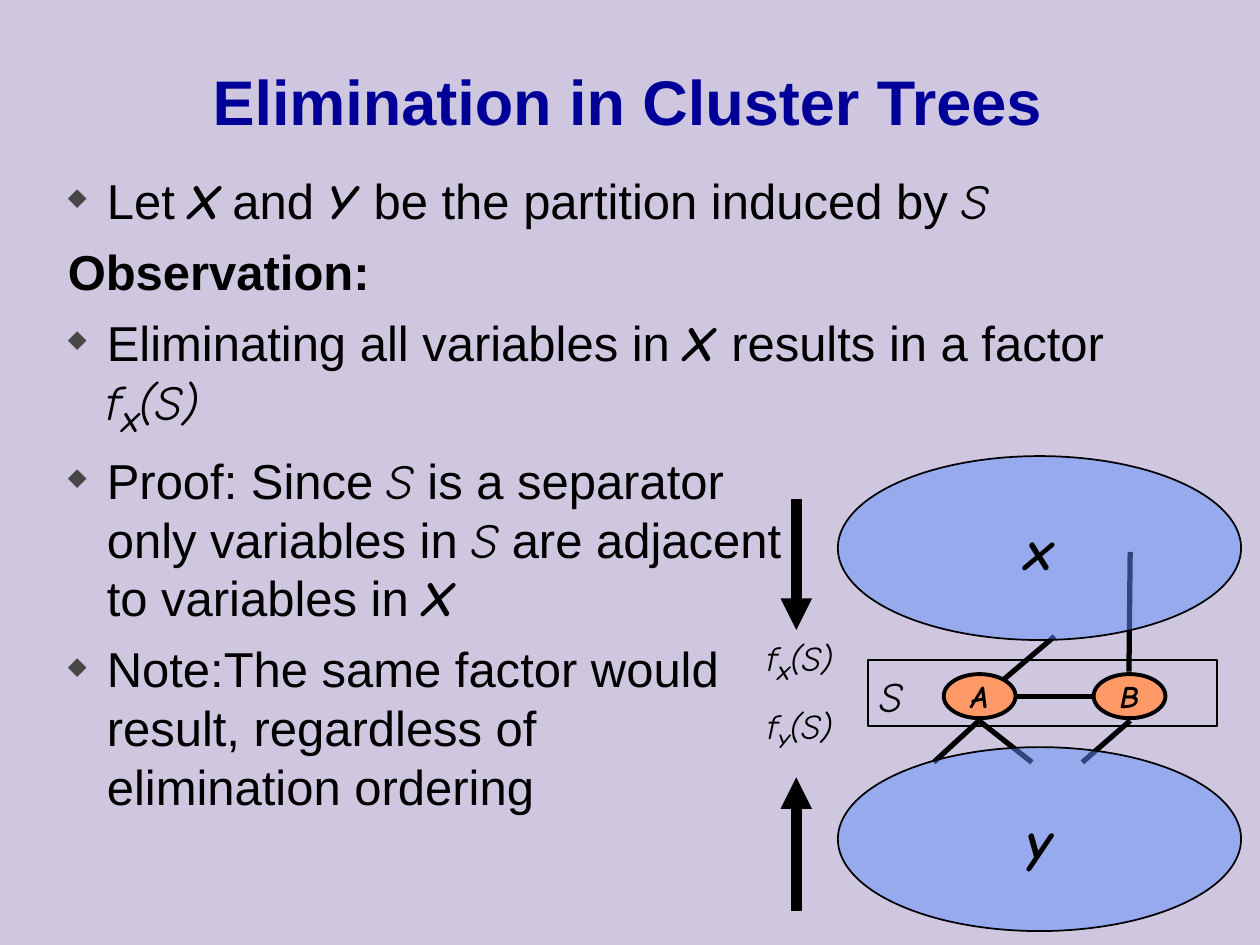
from dataclasses import dataclass

from lxml import etree
from pptx import Presentation
from pptx.dml.color import RGBColor
from pptx.enum.shapes import MSO_CONNECTOR, MSO_SHAPE
from pptx.enum.text import MSO_ANCHOR, PP_ALIGN
from pptx.oxml.ns import qn
from pptx.util import Inches, Pt

OVAL, BOX = MSO_SHAPE.OVAL, MSO_SHAPE.RECTANGLE
STRAIGHT = MSO_CONNECTOR.STRAIGHT
CENTER, LEFT = PP_ALIGN.CENTER, PP_ALIGN.LEFT
MIDDLE, TOP = MSO_ANCHOR.MIDDLE, MSO_ANCHOR.TOP

COLORS = {"back": "CEC7DF", "title": "000099", "ink": "000000",
          "bullet": "474747", "cluster": "618FFD", "node": "FF9966"}
SANS, HAND = "Arial", "Comic Neue"
CELL = Inches(0.1)  # grid of 100 columns by 75 rows


@dataclass
class Style:
    font: str = SANS
    bold: bool = False
    italic: bool = False
    baseline: int = 0


PLAIN = Style()
HEADING = Style(bold=True)
VAR = Style(HAND, italic=True)
SET = Style(HAND, True, True)
SUB = Style(HAND, True, True, -25000)

Runs = list[tuple[str, Style]]


@dataclass
class Item:
    runs: Runs
    bulleted: bool = True


@dataclass
class Ellipse:
    label: str
    col: float
    row: float
    cols: float
    rows: float
    fill: str
    size: int
    border: float
    alpha: int = 100


@dataclass
class Line:
    start: tuple[float, float]
    end: tuple[float, float]
    width: float = 3
    arrow: bool = False


def grid(*cells: float) -> list[int]:
    return [int(cell * CELL) for cell in cells]


def color(name: str) -> RGBColor:
    return RGBColor.from_string(COLORS[name])


def factor(cluster: str) -> Runs:
    return [("f", VAR), (cluster, SUB), ("(S)", VAR)]


def add_runs(paragraph, runs: Runs, size: float, ink: str = "ink") -> None:
    for text, style in runs:
        for index, part in enumerate(text.split("\n")):
            if index:
                paragraph.add_line_break()
            run = paragraph.add_run()
            run.text = part
            font = run.font
            font.name, font.size = style.font, Pt(size)
            font.bold, font.italic = style.bold, style.italic
            font.color.rgb = color(ink)
            if style.baseline:
                font._element.set("baseline", str(style.baseline))


def add_bullet(paragraph) -> None:
    props = paragraph._p.get_or_add_pPr()
    tint = etree.SubElement(props, qn("a:buClr"))
    etree.SubElement(tint, qn("a:srgbClr"), val=COLORS["bullet"])
    etree.SubElement(props, qn("a:buSzPct"), val="50000")
    etree.SubElement(props, qn("a:buChar"), char="◆")


def add_label(slide, runs: Runs, cells: tuple, size: float) -> None:
    frame = slide.shapes.add_textbox(*grid(*cells)).text_frame
    frame.word_wrap = False
    frame.vertical_anchor = MIDDLE
    frame.paragraphs[0].alignment = CENTER
    add_runs(frame.paragraphs[0], runs, size)


def add_ellipse(slide, ellipse: Ellipse) -> None:
    shape = slide.shapes.add_shape(
        OVAL, *grid(ellipse.col, ellipse.row, ellipse.cols, ellipse.rows))
    shape.shadow.inherit = False
    shape.fill.solid()
    shape.fill.fore_color.rgb = color(ellipse.fill)
    if ellipse.alpha < 100:
        tint = shape._element.spPr.find(f"{qn('a:solidFill')}/{qn('a:srgbClr')}")
        etree.SubElement(tint, qn("a:alpha"), val=str(ellipse.alpha * 1000))
    shape.line.color.rgb = color("ink")
    shape.line.width = Pt(ellipse.border)
    frame = shape.text_frame
    frame.word_wrap = False
    frame.vertical_anchor = MIDDLE
    frame.paragraphs[0].alignment = CENTER
    add_runs(frame.paragraphs[0], [(ellipse.label, SET)], ellipse.size)


def add_line(slide, line: Line) -> None:
    connector = slide.shapes.add_connector(STRAIGHT, *grid(*line.start, *line.end))
    connector.line.color.rgb = color("ink")
    connector.line.width = Pt(line.width)
    if line.arrow:
        etree.SubElement(connector.line._get_or_add_ln(), qn("a:tailEnd"),
                         type="triangle")
    etree.SubElement(connector._element.spPr, qn("a:effectLst"))


ITEMS = [
    Item([("Let ", PLAIN), ("X", SET), (" and ", PLAIN), ("Y ", SET),
          ("be the partition induced by ", PLAIN), ("S", VAR)]),
    Item([("Observation:", HEADING)], bulleted=False),
    Item([("Eliminating all variables in ", PLAIN), ("X ", SET),
          ("results in a factor ", PLAIN), *factor("X")]),
    Item([("Proof: Since ", PLAIN), ("S", VAR),
          (" is a separator \nonly variables in ", PLAIN), ("S", VAR),
          (" are adjacent\nto variables in ", PLAIN), ("X", SET)]),
    Item([("Note:The same factor would \nresult, regardless of \n"
           "elimination ordering", PLAIN)]),
]
A_FOOT, B_FOOT = (77.7, 57.2), (89.7, 57.2)
CLUSTER_EDGES = [
    Line((83.7, 50.5), (79.7, 53.9)),
    Line(A_FOOT, (74.1, 60.5)),
    Line(A_FOOT, (81.9, 60.5)),
    Line(B_FOOT, (85.9, 60.5)),
    Line((89.7, 43.8), (89.6, 53.3)),
]
CLUSTERS = [Ellipse(label, 66.5, row, 32, 14.6, "cluster", 32, 1, 50)
            for label, row in (("x", 36.2), ("y", 59.3))]
NODES = [Ellipse(label, col, 53.5, 5.7, 3.5, "node", 18, 2.25)
         for label, col in (("A", 74.9), ("B", 86.8))]
SEPARATOR_EDGE = Line((86.7, 55.3), (80.7, 55.3))
MESSAGES = [Line((63.2, 39.6), (63.2, 50), 6, True),
            Line((63.2, 72.3), (63.2, 61.7), 6, True)]


def main() -> None:
    deck = Presentation()
    deck.slide_width, deck.slide_height = grid(100, 75)
    slide = deck.slides.add_slide(deck.slide_layouts[5])
    slide.background.fill.solid()
    slide.background.fill.fore_color.rgb = color("back")

    # Title
    title = slide.shapes.title
    title.left, title.top, title.width, title.height = grid(3.8, 1.7, 92, 12.5)
    title.text_frame.vertical_anchor = MIDDLE
    heading = title.text_frame.paragraphs[0]
    heading.alignment = CENTER
    add_runs(heading, [("Elimination in Cluster Trees", HEADING)], 36, "title")

    # Argument
    argument = slide.shapes.add_textbox(*grid(4.4, 13, 91.4, 55.1)).text_frame
    argument.word_wrap = True
    argument.vertical_anchor = TOP
    for index, item in enumerate(ITEMS):
        paragraph = argument.add_paragraph() if index else argument.paragraphs[0]
        props = paragraph._p.get_or_add_pPr()
        props.set("marL", str(Inches(0.31)))
        props.set("indent", str(-Inches(0.31)))
        if item.bulleted:
            add_bullet(paragraph)
        paragraph.alignment = LEFT
        paragraph.line_spacing = 1.0
        if index:
            paragraph.space_before = Pt(7)
        paragraph.font.size = Pt(28)
        add_runs(paragraph, item.runs, 28)

    # Cluster tree
    for edge in CLUSTER_EDGES:
        add_line(slide, edge)
    for ellipse in CLUSTERS + NODES:
        add_ellipse(slide, ellipse)
    add_line(slide, SEPARATOR_EDGE)
    separator = slide.shapes.add_shape(BOX, *grid(68.9, 52.4, 27.7, 5.2))
    separator.shadow.inherit = False
    separator.fill.background()
    separator.line.color.rgb = color("ink")
    separator.line.width = Pt(1)
    add_label(slide, [("S", VAR)], (68.8, 52.7, 3.8, 5), 24)

    # Messages passed between the clusters
    for cluster, row, message in zip("XY", (50, 55.4), MESSAGES):
        add_line(slide, message)
        add_label(slide, factor(cluster), (59, row, 9, 4.8), 20)

    deck.save("out.pptx")


if __name__ == "__main__":
    main()
